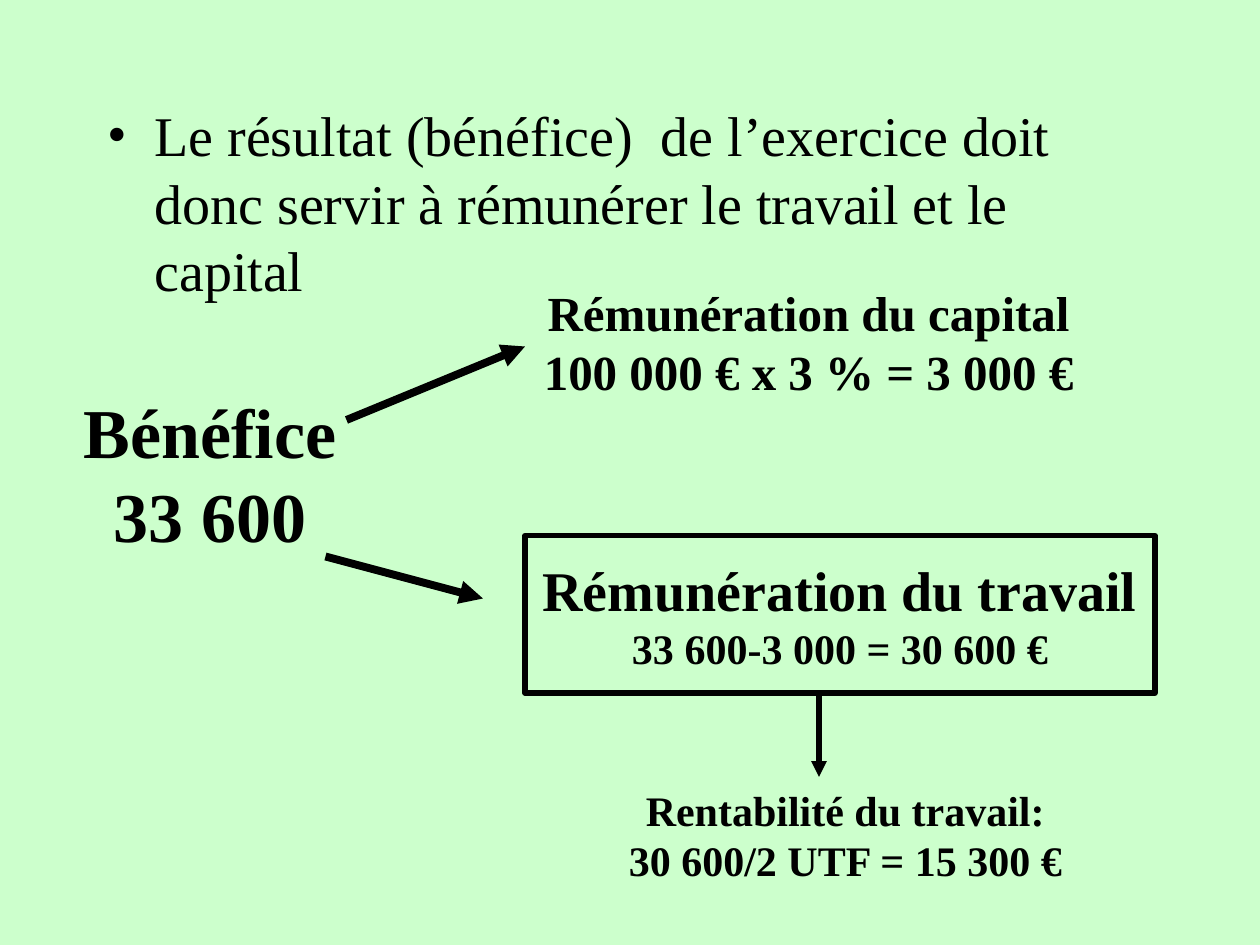
from dataclasses import dataclass

from lxml import etree
from pptx import Presentation
from pptx.dml.color import RGBColor
from pptx.enum import shapes, text
from pptx.oxml import ns
from pptx.util import Pt


@dataclass(frozen=True)
class Theme:
    """Colours, font and type sizes in points."""
    background: RGBColor = RGBColor(0xCC, 0xFF, 0xCC)
    ink: RGBColor = RGBColor(0, 0, 0)
    font: str = "Times New Roman"
    profit: int = 40
    heading: int = 32
    share: int = 28
    detail: int = 24


THEME = Theme()


def add_element(parent, tag, **attributes):
    """Append a DrawingML element to parent."""
    return etree.SubElement(parent, ns.qn(tag), attributes)


def write(para, content, size, bold=True, align=text.PP_ALIGN.CENTER):
    """Put formatted text in a paragraph."""
    para.alignment = align
    para.space_before = Pt(0)
    span = para.add_run()
    span.text = content
    span.font.name = THEME.font
    span.font.size = Pt(size)
    span.font.bold = bold
    span.font.color.rgb = THEME.ink


def fill_label(shape, lines):
    """Write centred lines, given as (text, size), in a shape."""
    frame = shape.text_frame
    frame.word_wrap = False
    frame.vertical_anchor = text.MSO_ANCHOR.MIDDLE
    for index, (content, size) in enumerate(lines):
        para = frame.add_paragraph() if index else frame.paragraphs[0]
        write(para, content, size)


def add_label(page, box, lines):
    """Add a plain text box of centred lines."""
    fill_label(page.shapes.add_textbox(*map(Pt, box)), lines)


def add_framed_label(page, box, lines):
    """Add an outlined rectangle of centred lines."""
    shape = page.shapes.add_shape(shapes.MSO_SHAPE.RECTANGLE, *map(Pt, box))
    shape.shadow.inherit = False
    shape.fill.background()
    shape.line.color.rgb = THEME.ink
    shape.line.width = Pt(3)
    fill_label(shape, lines)


def add_arrow(page, start, end, width):
    """Draw a straight arrow between two points."""
    arrow = page.shapes.add_connector(
        shapes.MSO_CONNECTOR.STRAIGHT, *map(Pt, (*start, *end)))
    arrow.line.color.rgb = THEME.ink
    arrow.line.width = Pt(width)
    add_element(arrow.line._get_or_add_ln(), "a:tailEnd", type="triangle")
    add_element(arrow._element.spPr, "a:effectLst")


def place_statement(page, box):
    """Place the bulleted statement in the body placeholder."""
    body = page.placeholders[1]
    body.left, body.top, body.width, body.height = map(Pt, box)
    frame = body.text_frame
    frame.auto_size = text.MSO_AUTO_SIZE.NONE
    para = frame.paragraphs[0]
    properties = para._p.get_or_add_pPr()
    properties.set("marL", str(Pt(27)))
    properties.set("indent", str(Pt(-27)))
    colour = add_element(properties, "a:buClr")
    add_element(colour, "a:srgbClr", val=str(THEME.ink))
    add_element(properties, "a:buFont", typeface=THEME.font)
    add_element(properties, "a:buChar", char="•")
    write(para, "Le résultat (bénéfice)  de l’exercice doit donc servir "
          "à rémunérer le travail et le capital",
          THEME.heading, bold=False, align=text.PP_ALIGN.LEFT)


def place_split(page, box):
    """Place the profit and its split between capital and labour."""
    left, top, width, height = box
    add_label(page, (left, top + 51, 204, 138),
              [("Bénéfice", THEME.profit), ("33 600", THEME.profit)])
    add_framed_label(page, (left + width - 360, top + height - 90, 360, 90),
                     [("Rémunération du travail", THEME.heading),
                      ("33 600-3 000 = 30 600 €", THEME.detail)])
    add_label(page, (left + 258, top, 372, 90),
              [("Rémunération du capital", THEME.share),
               ("100 000 € x 3 % = 3 000 €", THEME.share)])
    add_arrow(page, (left + 168, top + 168), (left + 258, top + 192), 4.5)
    add_arrow(page, (left + 180, top + 90), (left + 282, top + 48), 4.5)


def place_return(page, box):
    """Place the return on labour below its arrow."""
    left, top, width, height = box
    add_label(page, (left, top + height - 54, width, 54),
              [("Rentabilité du travail:", THEME.detail),
               ("30 600/2 UTF = 15 300 €", THEME.detail)])
    add_arrow(page, (left + 156, top), (left + 156, top + 48), 3)


def main():
    """Build and save the deck."""
    deck = Presentation()
    deck.slide_width, deck.slide_height = Pt(720), Pt(540)
    page = deck.slides.add_slide(deck.slide_layouts[1])
    page.background.fill.solid()
    page.background.fill.fore_color.rgb = THEME.background
    title = page.shapes.title._element
    title.getparent().remove(title)
    place_statement(page, (54, 54, 612, 426))
    place_split(page, (18, 150, 642, 246))
    place_return(page, (312, 396, 342, 108))
    deck.save("out.pptx")


if __name__ == "__main__":
    main()
